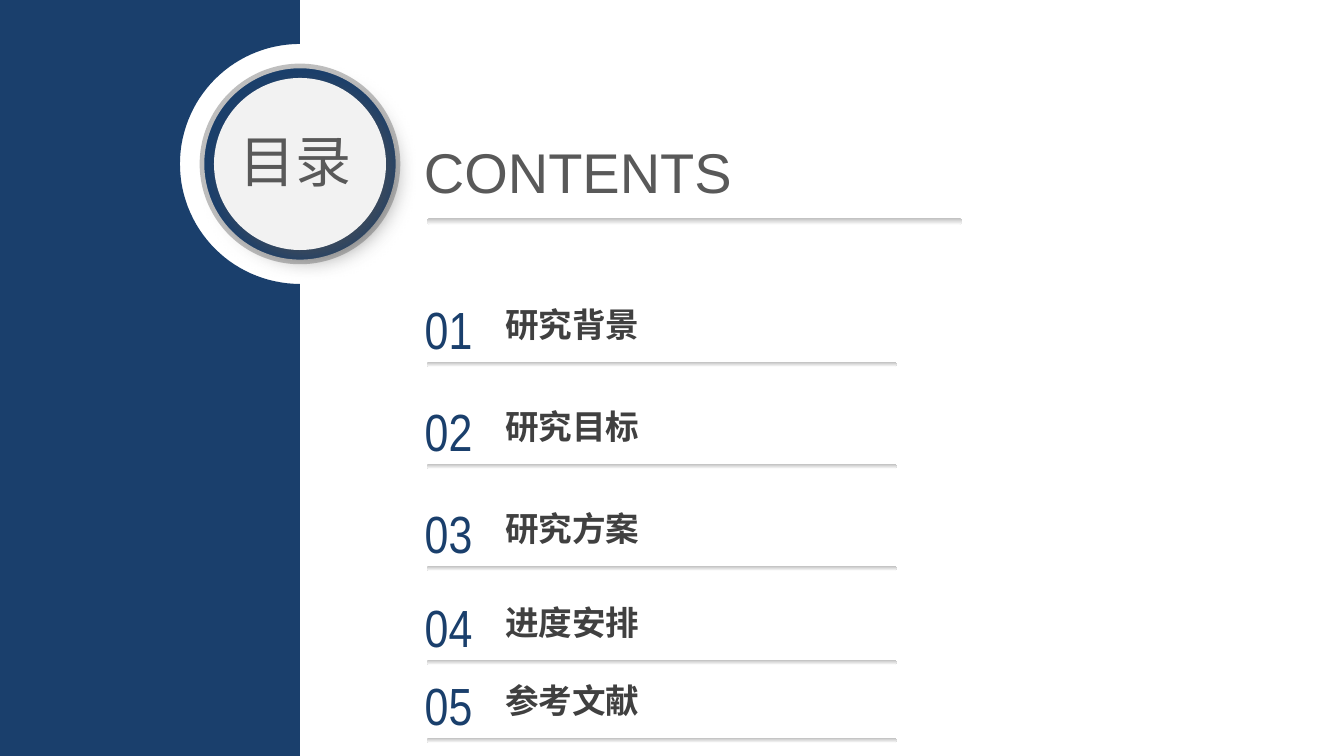
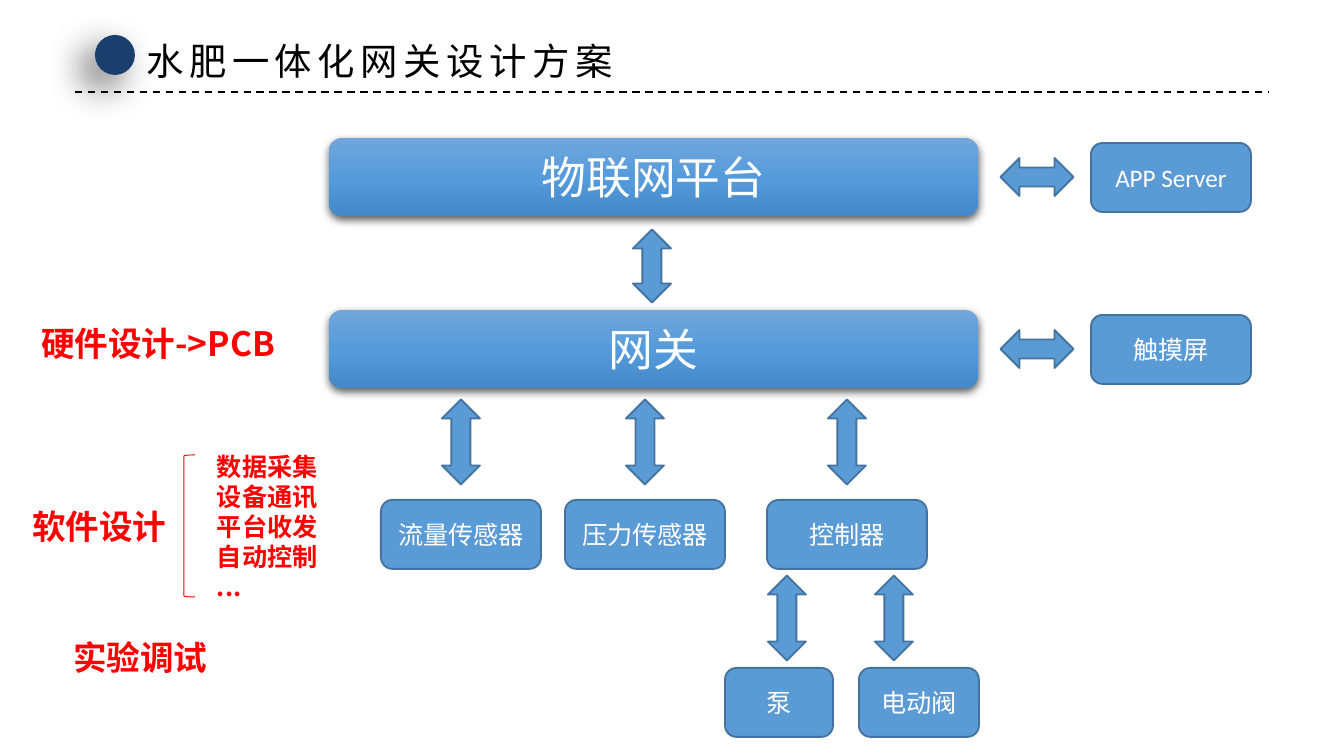
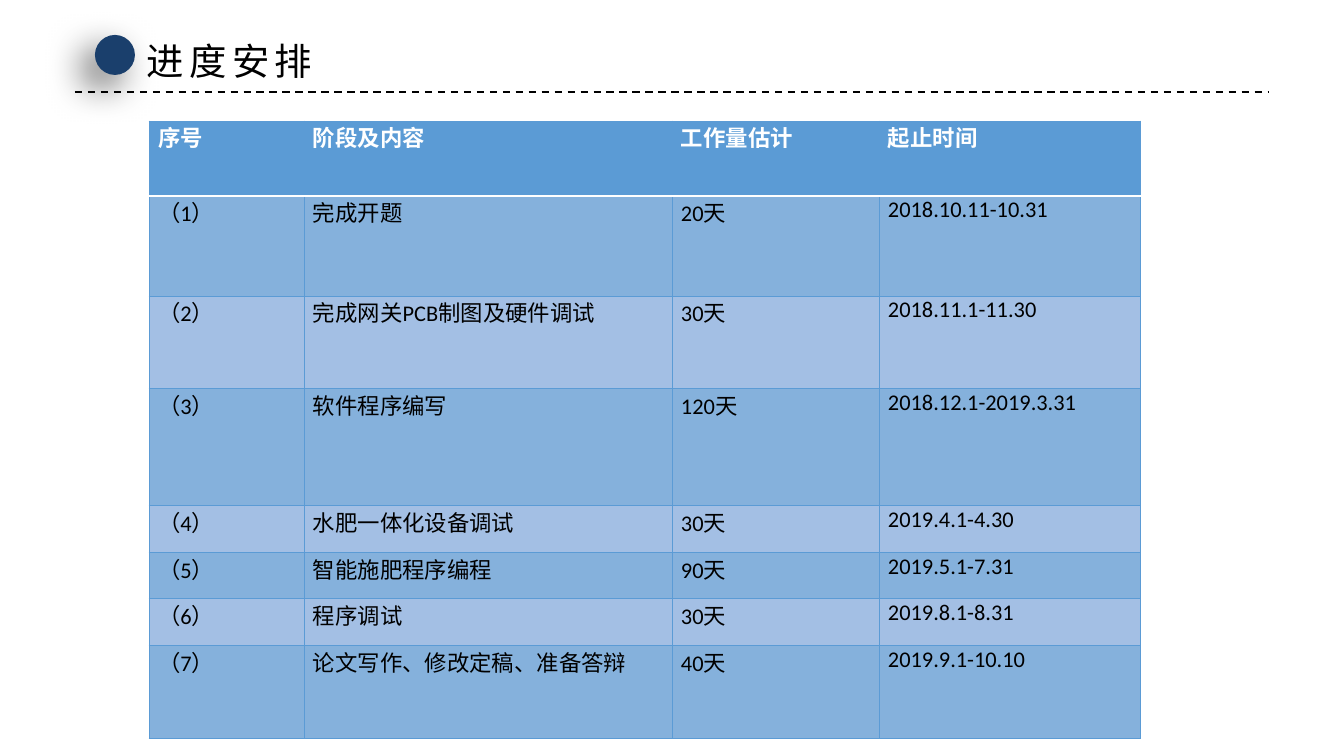
import math

from lxml import etree
from pptx import Presentation
from pptx import util as u
from pptx.dml.color import RGBColor
from pptx.enum import dml, shapes, text
from pptx.oxml.ns import qn

WIDTH, HEIGHT = 1344, 756
EMU_PER_PX = 914400 / 134.4
COLORS = {
    "navy": "1A3F6C", "pale": "F2F2F2", "gray": "595959", "dark": "404040",
    "silver": "BFBFBF", "white": "FFFFFF", "black": "000000", "red": "FF0000",
    "shade": "525252", "blue": "5B9BD5", "edge": "43739E", "band": "85B1DC",
    "light_band": "A3BFE4", "top": "71A6DB", "middle": "559BDB", "bottom": "448ACA",
}
CJK_FONT = "Noto Sans CJK SC"
SHAPE = shapes.MSO_SHAPE
CENTER = text.PP_ALIGN.CENTER


def px(length):
    return u.Emu(round(length * EMU_PER_PX))


def rgb(name):
    return RGBColor.from_string(COLORS[name])


def add_color(parent, name, alpha=None):
    color = etree.SubElement(parent, qn("a:srgbClr"), val=COLORS[name])
    if alpha is not None:
        etree.SubElement(color, qn("a:alpha"), val=str(alpha * 1000))


def write(frame, content, size=18, color="black", font="Calibri", east="Calibri",
          bold=False, align=None, tracking=None, leading=None):
    """Fill a text frame, one paragraph per line of content."""
    for index, line in enumerate(content.split("\n")):
        paragraph = frame.add_paragraph() if index else frame.paragraphs[0]
        paragraph.alignment = align
        paragraph.line_spacing = leading
        run = paragraph.add_run()
        run.text = line
        run.font.size, run.font.bold, run.font.name = u.Pt(size), bold, font
        run.font.color.rgb = rgb(color)
        properties = run.font._element
        properties.set("lang", "zh-CN")
        if tracking:
            properties.set("spc", str(tracking * 100))
        properties.find(qn("a:latin")).addnext(
            properties.makeelement(qn("a:ea"), typeface=east))


class Deck:
    def __init__(self):
        self.presentation = Presentation()
        self.presentation.slide_width = px(WIDTH)
        self.presentation.slide_height = px(HEIGHT)
        self.slide = None

    def new_slide(self):
        self.slide = self.presentation.slides.add_slide(self.presentation.slide_layouts[6])

    def style(self, shape, fill=None, line=None, weight=1, shadow=None):
        """Fill is a colour or a tuple of gradient colours from top to bottom."""
        shape.shadow.inherit = False
        if isinstance(fill, tuple):
            shape.fill.gradient()
            shape.fill.gradient_angle = 270
            stops = shape._element.spPr.find(".//" + qn("a:gsLst"))
            for stop in list(stops):
                stops.remove(stop)
            for index, name in enumerate(fill):
                position = round(100000 * index / (len(fill) - 1))
                add_color(etree.SubElement(stops, qn("a:gs"), pos=str(position)), name)
        elif fill:
            shape.fill.solid()
            shape.fill.fore_color.rgb = rgb(fill)
        else:
            shape.fill.background()
        if line:
            shape.line.color.rgb = rgb(line)
            shape.line.width = u.Pt(weight)
        else:
            shape.line.fill.background()
        if shadow:
            color, alpha, blur, distance, angle = shadow
            effects = shape._element.spPr.find(qn("a:effectLst"))
            outer = etree.SubElement(
                effects, qn("a:outerShdw"), blurRad=str(u.Pt(blur)),
                dist=str(u.Pt(distance)), dir=str(angle * 60000),
                algn="ctr", rotWithShape="0")
            add_color(outer, color, alpha)
        return shape

    def shape(self, kind, left, top, width, height, **style):
        shape = self.slide.shapes.add_shape(kind, px(left), px(top), px(width), px(height))
        return self.style(shape, **style)

    def outline(self, points, **style):
        start, *rest = [(px(x), px(y)) for x, y in points]
        builder = self.slide.shapes.build_freeform(*start, scale=1.0)
        builder.add_line_segments(rest, close=True)
        return self.style(builder.convert_to_shape(), **style)

    def text(self, content, left, top, width, height, inset=(13, 7), wrap=True, **format):
        box = self.slide.shapes.add_textbox(px(left), px(top), px(width), px(height))
        frame = box.text_frame
        frame.word_wrap = wrap
        frame.auto_size = text.MSO_AUTO_SIZE.SHAPE_TO_FIT_TEXT
        frame.margin_left = frame.margin_right = px(inset[0])
        frame.margin_top = frame.margin_bottom = px(inset[1])
        write(frame, content, **format)

    def rule(self, top, width, height):
        bar = self.shape(SHAPE.ROUNDED_RECTANGLE, 427, top, width, height,
                         fill=("silver", "white"))
        bar.adjustments[0] = 0.5

    def box(self, content, left, top, width=160, height=69, size=13.5, **style):
        style = style or {"fill": "blue", "line": "edge"}
        box = self.shape(SHAPE.ROUNDED_RECTANGLE, left, top, width, height, **style)
        box.text_frame.vertical_anchor = text.MSO_ANCHOR.MIDDLE
        write(box.text_frame, content, size=size, color="white", align=CENTER)

    def layer(self, content, top):
        self.box(content, 329, top, 649, 78, size=24, fill=("top", "middle", "bottom"),
                 shadow=("black", 63, 4.5, 1.5, 90))

    def arrow(self, center_x, center_y, length, rotation):
        arrow = self.shape(SHAPE.LEFT_RIGHT_ARROW, center_x - length / 2, center_y - 19,
                           length, 38, fill="blue", line="edge")
        arrow.rotation = rotation

    def header(self, title, width):
        line = self.slide.shapes.add_connector(
            shapes.MSO_CONNECTOR.STRAIGHT, px(75), px(92), px(1269), px(92))
        line.line.color.rgb = rgb("black")
        line.line.width = u.Pt(1)
        line.line.dash_style = dml.MSO_LINE.DASH
        etree.SubElement(line._element.spPr, qn("a:effectLst"))
        self.shape(SHAPE.OVAL, 95, 35, 40, 40, fill="navy",
                   shadow=("black", 60, 20, 10, 135))
        self.text(title, 133, 31, width, 59, wrap=False, size=20, font=CJK_FONT, tracking=3)

    def borders(self, cell, **edges):
        properties = cell._tc.get_or_add_tcPr()
        for index, side in enumerate("LRTB"):
            color, weight = edges.get(side, ("blue", 0.5))
            line = properties.makeelement(qn("a:ln" + side), w=str(u.Pt(weight)))
            add_color(etree.SubElement(line, qn("a:solidFill")), color)
            properties.insert(index, line)

    def table(self, rows, left, top, widths, heights):
        table = self.slide.shapes.add_table(
            len(rows), len(widths), px(left), px(top), px(sum(widths)), px(sum(heights))).table
        for column, width in zip(table.columns, widths):
            column.width = px(width)
        for index, (row, height, values) in enumerate(zip(table.rows, heights, rows)):
            row.height = px(height)
            head = index == 0
            fill = "blue" if head else "band" if index % 2 else "light_band"
            edges = {"B": ("white", 1)} if head else {"T": ("white", 1)} if index == 1 else {}
            for cell, value in zip(row.cells, values):
                cell.margin_left = cell.margin_right = px(9)
                cell.margin_top = cell.margin_bottom = 0
                cell.fill.solid()
                cell.fill.fore_color.rgb = rgb(fill)
                self.borders(cell, **edges)
                write(cell.text_frame, value, size=12, bold=head, east=CJK_FONT,
                      color="white" if head else "black")


def contents(deck):
    deck.new_slide()
    # Side panel with a round bay
    center_x, center_y, radius = 300, 164, 120
    angles = [math.radians(degree) for degree in range(90, 271, 3)]
    bay = [(center_x + radius * math.cos(a), center_y - radius * math.sin(a)) for a in angles]
    deck.outline([(0, 0), (center_x, 0), *bay, (center_x, HEIGHT), (0, HEIGHT)], fill="navy")
    # Badge and heading
    deck.shape(SHAPE.OVAL, 202, 66, 196, 196, fill="navy", line="silver", weight=2.5)
    deck.shape(SHAPE.OVAL, 214, 78, 172, 172, fill="pale", shadow=("shade", 64, 12, 6, 45))
    inset = (9, 5)
    deck.text("CONTENTS", 415, 133, 468, 78, inset, size=30, font="Arial", color="gray")
    deck.text("目录", 202, 122, 187, 78, inset, size=30, font="TeX Gyre Adventor",
              color="gray", align=CENTER)
    deck.rule(218, 535, 7)
    # Numbered entries
    entries = [("研究背景", 292), ("研究目标", 394), ("研究方案", 496),
               ("进度安排", 590), ("参考文献", 668)]
    for number, (label, top) in enumerate(entries, 1):
        deck.text(f"{number:02}", 409, top, 79, 74, inset, size=28, font="Arial Narrow",
                  color="navy", align=CENTER)
        deck.text(label, 496, top + 7, 306, 51, inset, font="League Spartan",
                  color="dark", bold=True)
        deck.rule(top + 70, 470, 5)


def gateway_design(deck):
    deck.new_slide()
    deck.header("水肥一体化网关设计方案", 499)
    # Platform and gateway, each with its partner on the right
    for layer, partner, top in [("物联网平台", "APP Server", 138), ("网关", "触摸屏", 310)]:
        deck.layer(layer, top)
        deck.arrow(1037, top + 39, 73, 180)
        deck.box(partner, 1091, top + 5)
    deck.arrow(652, 266, 73, 270)
    # Devices under the gateway
    for device, center in [("流量传感器", 461), ("压力传感器", 645), ("控制器", 847)]:
        deck.arrow(center, 442, 85, 270)
        deck.box(device, center - 80, 500)
    # Devices under the controller
    for device, left, width, center in [("泵", 725, 108, 787), ("电动阀", 859, 120, 894)]:
        deck.arrow(center, 618, 85, 270)
        deck.box(device, left, 668, width)
    # Work items on the left
    note = {"font": CJK_FONT, "color": "red", "bold": True}
    deck.text("硬件设计->PCB", 28, 323, 261, 54, leading=0.83, east=CJK_FONT, **note)
    deck.text("软件设计", 19, 499, 261, 54, **note)
    deck.text("实验调试", 60, 630, 261, 54, **note)
    deck.text("数据采集\n设备通讯平台收发\n自动控制\n...", 204, 444, 140, 167, size=13.5, **note)
    deck.shape(SHAPE.LEFT_BRACKET, 184, 455, 11, 142, line="red", weight=0.5)


def schedule(deck):
    deck.new_slide()
    deck.header("进度安排", 199)
    stages = [
        ("完成开题", "20天", "2018.10.11-10.31"),
        ("完成网关PCB制图及硬件调试", "30天", "2018.11.1-11.30"),
        ("软件程序编写", "120天", "2018.12.1-2019.3.31"),
        ("水肥一体化设备调试", "30天", "2019.4.1-4.30"),
        ("智能施肥程序编程", "90天", "2019.5.1-7.31"),
        ("程序调试", "30天", "2019.8.1-8.31"),
        ("论文写作、修改定稿、准备答辩", "40天", "2019.9.1-10.10"),
    ]
    rows = [("序号", "阶段及内容", "工作量估计", "起止时间")]
    rows += [(f"（{number}）", *stage) for number, stage in enumerate(stages, 1)]
    deck.table(rows, 149, 121, widths=[155, 368, 207, 262],
               heights=[75, 100, 93, 117, 47, 46, 47, 93])


def main():
    deck = Deck()
    contents(deck)
    gateway_design(deck)
    schedule(deck)
    deck.presentation.save("out.pptx")


if __name__ == "__main__":
    main()
